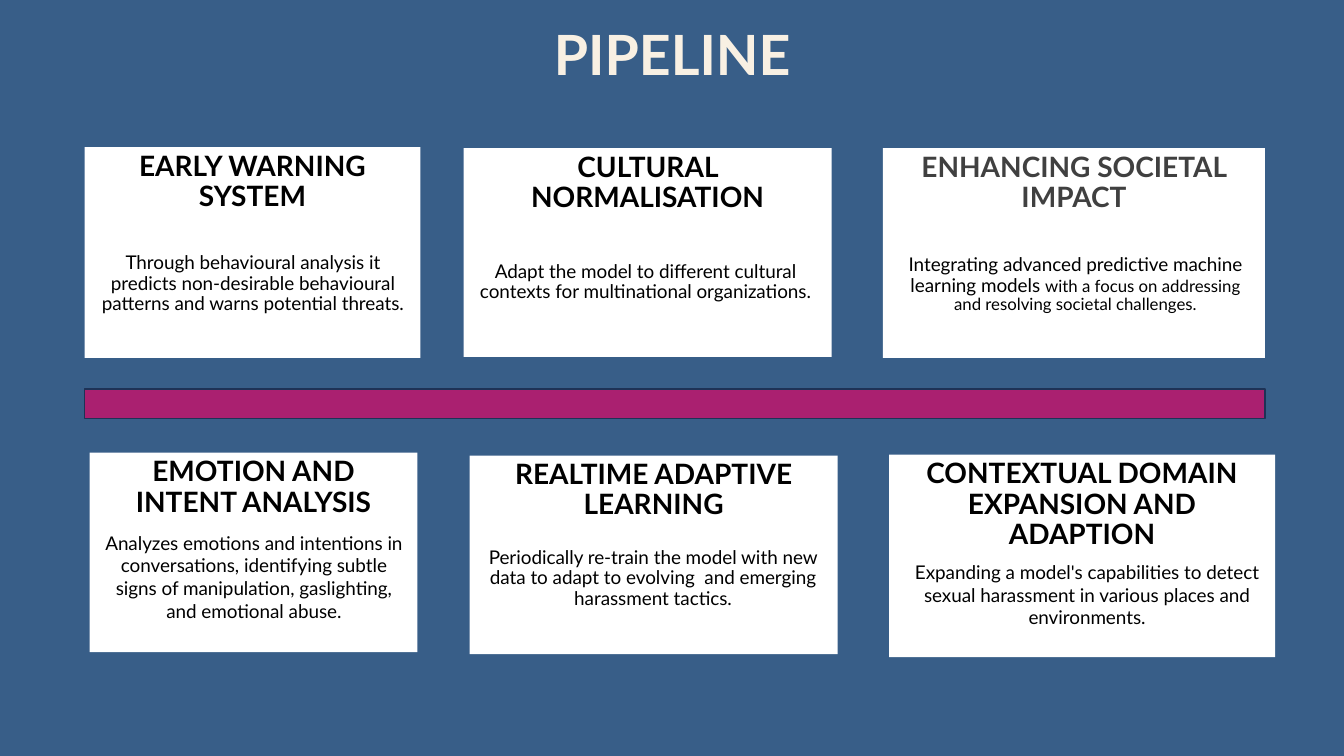
from pptx import Presentation
from pptx.dml.color import RGBColor
from pptx.enum.shapes import MSO_SHAPE
from pptx.enum.text import MSO_ANCHOR, PP_ALIGN
from pptx.util import Emu, Inches, Pt

COLORS = {"background": "385E88", "title": "F8F0E3", "card": "FFFFFF", "text": "000000",
          "muted": "404040", "bar": "AA2070", "bar_line": "1E3256"}
COLUMNS, ROWS = 40, 22.5
WIDTH, HEIGHT = Emu(12192000), Emu(6858000)
TITLE_BOX = (15.48, 0.63, 9.06, 2.19)
BAR_BOX = (2.52, 11.58, 35.13, 0.87)

CARDS = [
    {"box": (2.52, 4.38, 9.99, 6.27), "body": (0.03, 1.89, 9.96, 4.38),
     "heading": "EARLY WARNING SYSTEM",
     "runs": [("Through behavioural analysis it predicts non-desirable behavioural "
               "patterns and warns potential threats.", 13.5)]},
    {"box": (13.8, 4.41, 10.95, 6.21), "body": (0, 2.1, 10.83, 3.78),
     "heading": "CULTURAL NORMALISATION",
     "runs": [("Adapt the model to different cultural contexts for multinational "
               "organizations.", 13.5)]},
    {"box": (26.28, 4.41, 11.37, 6.24), "body": (0.06, 2.01, 11.34, 4.11),
     "heading": "ENHANCING SOCIETAL IMPACT", "color": "muted",
     "runs": [("Integrating advanced predictive machine learning models ", 13.5),
              ("with a focus on addressing and resolving societal challenges.", 12)]},
    {"box": (2.67, 13.47, 9.75, 5.94), "body": (0, 2.19, 9.78, 3.03),
     "heading": "EMOTION AND INTENT ANALYSIS", "spacing": 1.0, "anchor": MSO_ANCHOR.TOP,
     "runs": [("Analyzes emotions and intentions in conversations, identifying subtle "
               "signs of manipulation, gaslighting, and emotional abuse.", 13.5)]},
    {"box": (13.98, 13.56, 10.95, 5.91), "body": (0.15, 1.35, 10.62, 4.62),
     "heading": "REALTIME ADAPTIVE LEARNING",
     "runs": [("Periodically re-train the model with new data to adapt to evolving  and "
               "emerging harassment tactics.", 13.5)]},
    {"box": (26.46, 13.53, 11.49, 6.03), "body": (0, 2.19, 11.79, 5.31),
     "heading": "CONTEXTUAL DOMAIN EXPANSION AND ADAPTION", "spacing": 1.0, "bottom": 0.5,
     "runs": [("Expanding a model's capabilities to detect sexual harassment in various "
               "places and environments.", 13.5)]},
]


def color(name):
    """Return the named colour."""
    return RGBColor.from_string(COLORS[name])


def place(box):
    """Turn grid columns and rows into slide lengths."""
    left, top, width, height = box
    column, row = WIDTH / COLUMNS, HEIGHT / ROWS
    return [Emu(round(length)) for length in
            (left * column, top * row, width * column, height * row)]


def write(shape, runs, color_name="text", bold=False, anchor=MSO_ANCHOR.TOP,
          spacing=0.9, bottom=0.05):
    """Fill a shape with one centred paragraph of (text, size) runs."""
    frame = shape.text_frame
    frame_format = {"word_wrap": True, "vertical_anchor": anchor,
                    "margin_left": Inches(0.1), "margin_right": Inches(0.1),
                    "margin_top": Inches(0.05), "margin_bottom": Inches(bottom)}
    for name, value in frame_format.items():
        setattr(frame, name, value)
    paragraph = frame.paragraphs[0]
    paragraph_format = {"alignment": PP_ALIGN.CENTER, "line_spacing": spacing,
                        "space_before": Pt(0)}
    for name, value in paragraph_format.items():
        setattr(paragraph, name, value)
    for text, size in runs:
        run = paragraph.add_run()
        run.text = text
        for name, value in {"name": "Lato", "size": Pt(size), "bold": bold}.items():
            setattr(run.font, name, value)
        run.font.color.rgb = color(color_name)


def add_title(slide, box):
    """Place the slide title."""
    title = slide.shapes.title
    title.left, title.top, title.width, title.height = place(box)
    write(title, [("PIPELINE", 39.6)], "title", True, MSO_ANCHOR.MIDDLE)


def add_rectangle(slide, box, fill):
    """Add a plain rectangle without outline or shadow."""
    shape = slide.shapes.add_shape(MSO_SHAPE.RECTANGLE, *place(box))
    shape.shadow.inherit = False
    shape.fill.solid()
    shape.fill.fore_color.rgb = color(fill)
    shape.line.fill.background()
    return shape


def add_card(slide, card):
    """Add a white card with its heading and description."""
    left, top = card["box"][:2]
    offset_x, offset_y, width, height = card["body"]
    rectangle = add_rectangle(slide, card["box"], "card")
    write(rectangle, [(card["heading"], 20)], card.get("color", "text"), True)
    body = slide.shapes.add_textbox(*place((left + offset_x, top + offset_y, width, height)))
    write(body, card["runs"], anchor=card.get("anchor", MSO_ANCHOR.MIDDLE),
          spacing=card.get("spacing", 0.9), bottom=card.get("bottom", 0.05))


def add_bar(slide, box):
    """Add the outlined bar between the two rows of cards."""
    bar = add_rectangle(slide, box, "bar")
    bar.line.color.rgb = color("bar_line")
    bar.line.width = Pt(1)


def main():
    """Build and save the pipeline slide."""
    presentation = Presentation()
    presentation.slide_width, presentation.slide_height = WIDTH, HEIGHT
    slide = presentation.slides.add_slide(presentation.slide_layouts[5])
    slide.background.fill.solid()
    slide.background.fill.fore_color.rgb = color("background")
    add_title(slide, TITLE_BOX)
    for card in CARDS:
        add_card(slide, card)
    add_bar(slide, BAR_BOX)
    presentation.save("out.pptx")


if __name__ == "__main__":
    main()
